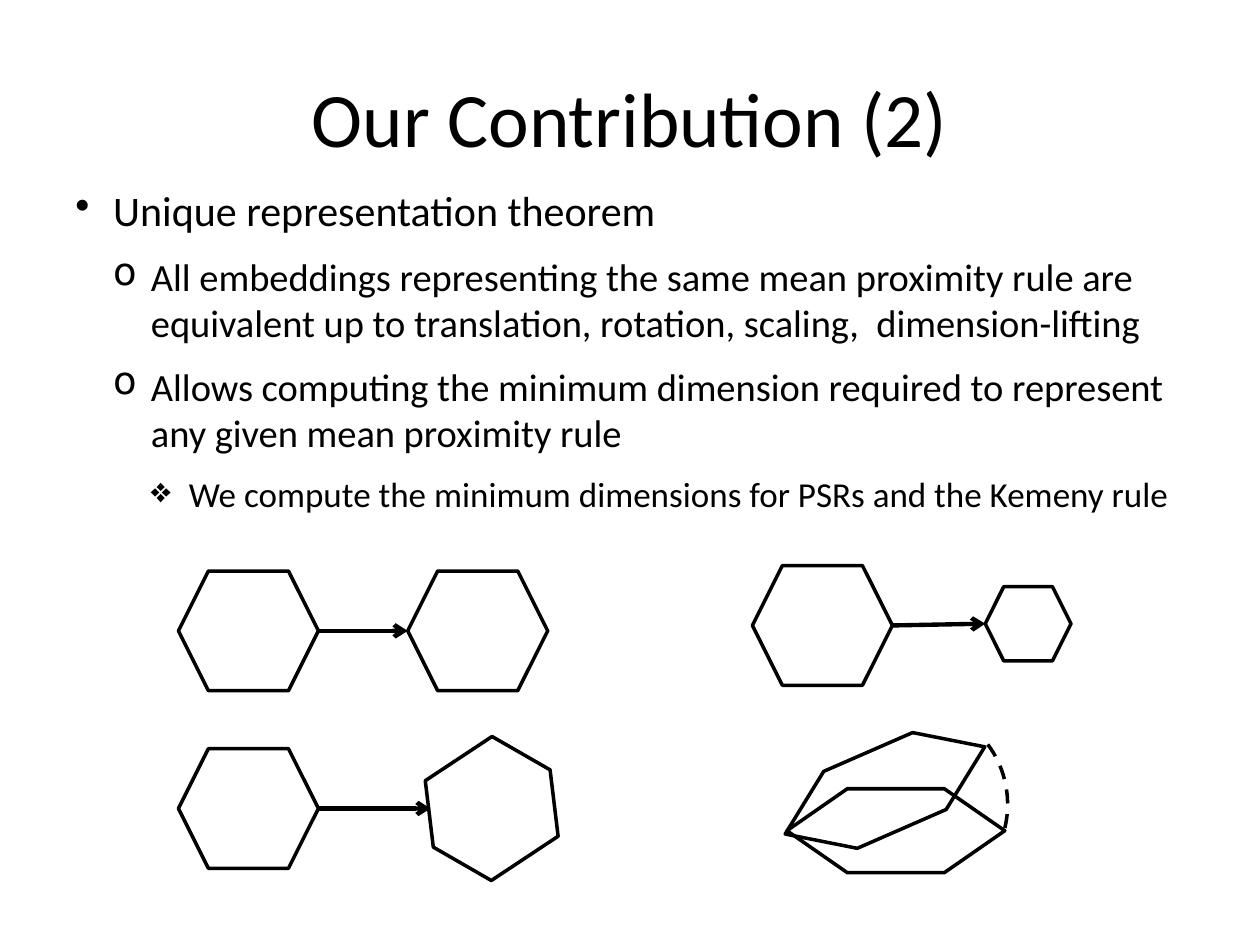
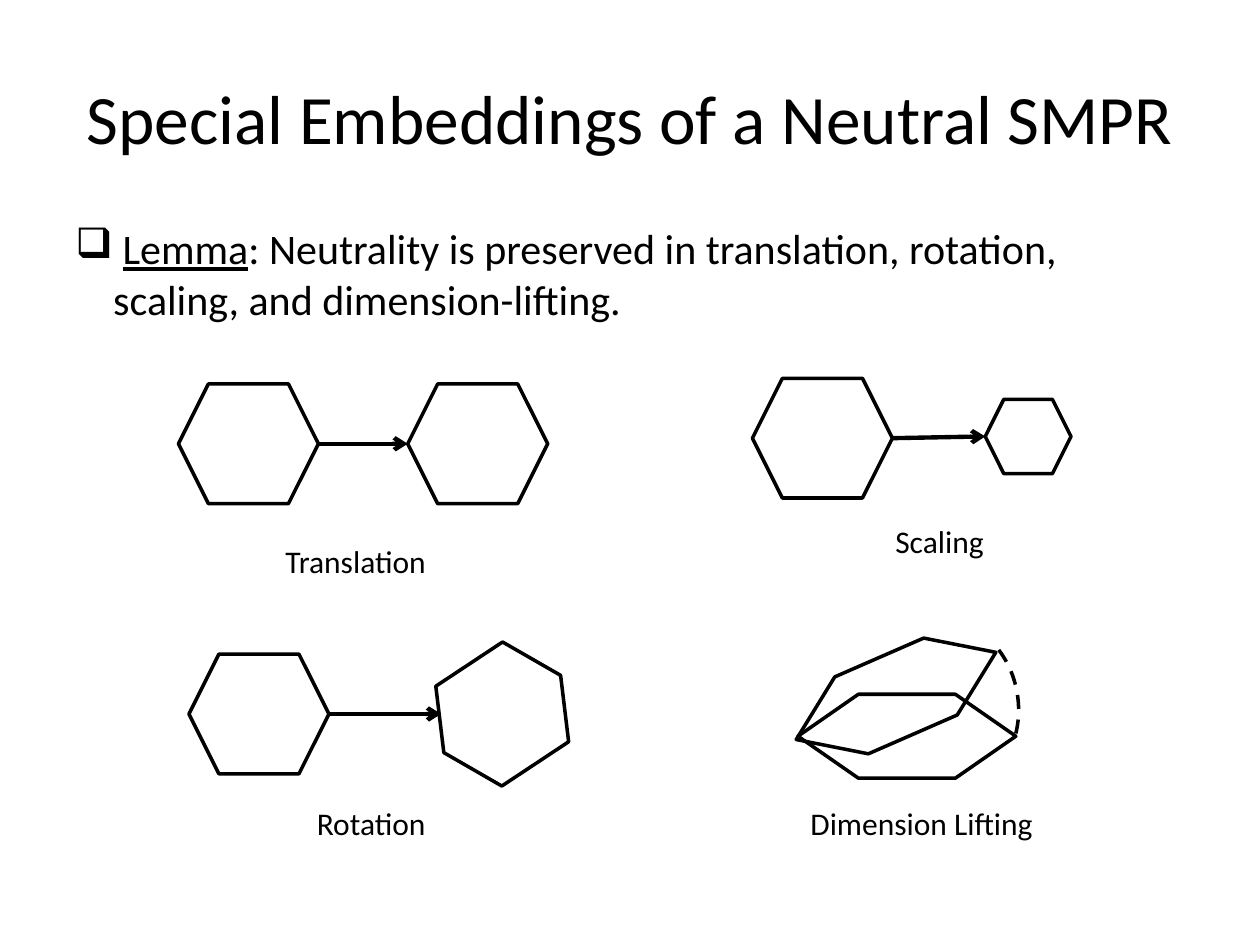
from pptx import Presentation
from pptx.dml.color import RGBColor
from pptx.enum.dml import MSO_LINE
from pptx.enum.shapes import MSO_CONNECTOR, MSO_SHAPE
from pptx.enum.text import MSO_ANCHOR, MSO_AUTO_SIZE, PP_ALIGN
from pptx.oxml.ns import qn
from pptx.util import Pt
from lxml.etree import SubElement

COLORS = {"ink": "000000", "paper": "FFFFFF"}
FONT = "Calibri"
INDENT = 21.6
HEX = (80, 68.4)
SMALL = (49, 42.5)
FLAT = (124.5, 48)


def color(name):
    return RGBColor.from_string(COLORS[name])


def add_text(slide, box, paras, size=18, align=PP_ALIGN.LEFT,
             anchor=MSO_ANCHOR.TOP, wrap=True):
    """Each para is (runs, bullet, level, size); each run is (text, underline)."""
    shape = slide.shapes.add_textbox(*map(Pt, box))
    frame = shape.text_frame
    frame.word_wrap = wrap
    frame.auto_size = MSO_AUTO_SIZE.NONE if wrap else MSO_AUTO_SIZE.SHAPE_TO_FIT_TEXT
    frame.vertical_anchor = anchor
    for i, (runs, bullet, level, own) in enumerate(paras):
        para = frame.add_paragraph() if i else frame.paragraphs[0]
        para.alignment = align
        if bullet:
            para.level = level
            para.space_before = Pt(10)
            add_bullet(para, bullet, level)
        for text, under in runs:
            run = para.add_run()
            run.text = text
            run.font.name = FONT
            run.font.size = Pt(own or size)
            run.font.color.rgb = color("ink")
            if under:
                run.font.underline = True


def add_bullet(para, mark, level):
    props = para._p.get_or_add_pPr()
    props.set("marL", str(Pt(INDENT * (level + 1))))
    props.set("indent", str(-Pt(INDENT)))
    SubElement(props, qn("a:buChar")).set("char", mark)


def plain(text, bullet=None, level=0, size=None):
    return [(text, False)], bullet, level, size


def add_title(slide, text, size=44):
    add_text(slide, (36, 21.6, 648, 90), [plain(text)], size=size,
             align=PP_ALIGN.CENTER, anchor=MSO_ANCHOR.MIDDLE)


def add_outline(group, kind, x, y, size, turn=0, adjust=()):
    shape = group.shapes.add_shape(kind, *map(Pt, (x, y, *size)))
    shape.shadow.inherit = False
    shape.fill.background()
    shape.line.color.rgb = color("ink")
    shape.line.width = Pt(2)
    shape.rotation = turn
    for i, value in enumerate(adjust):
        shape.adjustments[i] = value
    return shape


def add_hex(group, x, y, size=HEX, turn=0, adjust=()):
    add_outline(group, MSO_SHAPE.HEXAGON, x, y, size, turn, adjust)


def add_arrow(group, x, y, length, rise=0):
    line = group.shapes.add_connector(
        MSO_CONNECTOR.STRAIGHT, *map(Pt, (x, y, x + length, y - rise)))
    line.line.color.rgb = color("ink")
    line.line.width = Pt(2.5)
    SubElement(line.line._get_or_add_ln(), qn("a:tailEnd")).set("type", "arrow")
    SubElement(line._element.spPr, qn("a:effectLst"))


def draw_lift(slide, x, y):
    """Flat hexagon and its raised twin, joined by a dashed arc."""
    group = slide.shapes.add_group_shape()
    add_hex(group, x, y, FLAT, 336.4, (0.72,))
    add_hex(group, x + 6.2, y + 23, FLAT, 0, (0.72,))
    arc = add_outline(group, MSO_SHAPE.ARC, x + 41.5, y - 21, (90.7, 103),
                      353.1, (193.81, 15.68))
    arc.line.dash_style = MSO_LINE.DASH


def draw_pair(slide, x, y, gap, size=HEX, drop=0, turn=0, reach=0, rise=0):
    """Hexagon, arrow and changed hexagon; reach lengthens the arrow."""
    group = slide.shapes.add_group_shape()
    wide, high = HEX
    add_hex(group, x, y)
    add_hex(group, x + wide + gap, y + drop, size, turn)
    add_arrow(group, x + wide, y + high / 2, gap + reach, rise)


def draw_moves(slide, shift, scale, spin, lift):
    """Draw the four moves, each at its own left and top."""
    draw_lift(slide, *lift)
    draw_pair(slide, *shift, gap=51)
    draw_pair(slide, *spin, gap=59, turn=326.5, reach=5)
    draw_pair(slide, *scale, gap=53, size=SMALL, drop=12, rise=1)


def add_slide(deck):
    slide = deck.slides.add_slide(deck.slide_layouts[6])
    slide.background.fill.solid()
    slide.background.fill.fore_color.rgb = color("paper")
    return slide


def build_theorem(deck):
    slide = add_slide(deck)
    add_title(slide, "Our Contribution (2)")
    add_text(slide, (36, 102.2, 648, 390), [
        plain("Unique representation theorem", "•", 0, 24),
        plain("All embeddings representing the same mean proximity rule are "
              "equivalent up to translation, rotation, scaling,  dimension-lifting",
              "o", 1, 22),
        plain("Allows computing the minimum dimension required to represent "
              "any given mean proximity rule", "o", 1, 22),
        plain("We compute the minimum dimensions for PSRs and the Kemeny rule",
              "❖", 2, 20),
    ])
    draw_moves(slide, shift=(102, 326.3), scale=(430, 323.2),
               spin=(102, 427.8), lift=(443.5, 427.7))


def build_lemma(deck):
    slide = add_slide(deck)
    add_title(slide, "Special Embeddings of a Neutral SMPR", size=39.6)
    lemma = [(" ", False), ("Lemma", True),
             (": Neutrality is preserved in translation, rotation, scaling, "
              "and dimension-lifting.", False)]
    add_text(slide, (36, 123.8, 648, 356), [(lemma, "❑", 0, 24)])
    draw_moves(slide, shift=(102, 219.4), scale=(430, 216.2),
               spin=(108, 373.8), lift=(449.8, 373.7))
    for text, x, y, width in (("Translation", 156, 306, 96),
                              ("Rotation", 174, 456, 77),
                              ("Dimension Lifting", 456, 456, 143),
                              ("Scaling", 504.5, 295, 65.5)):
        add_text(slide, (x, y, width, 29), [plain(text)], wrap=False)


def main():
    deck = Presentation()
    deck.slide_width, deck.slide_height = Pt(720), Pt(540)
    build_theorem(deck)
    build_lemma(deck)
    deck.save("out.pptx")


if __name__ == "__main__":
    main()
